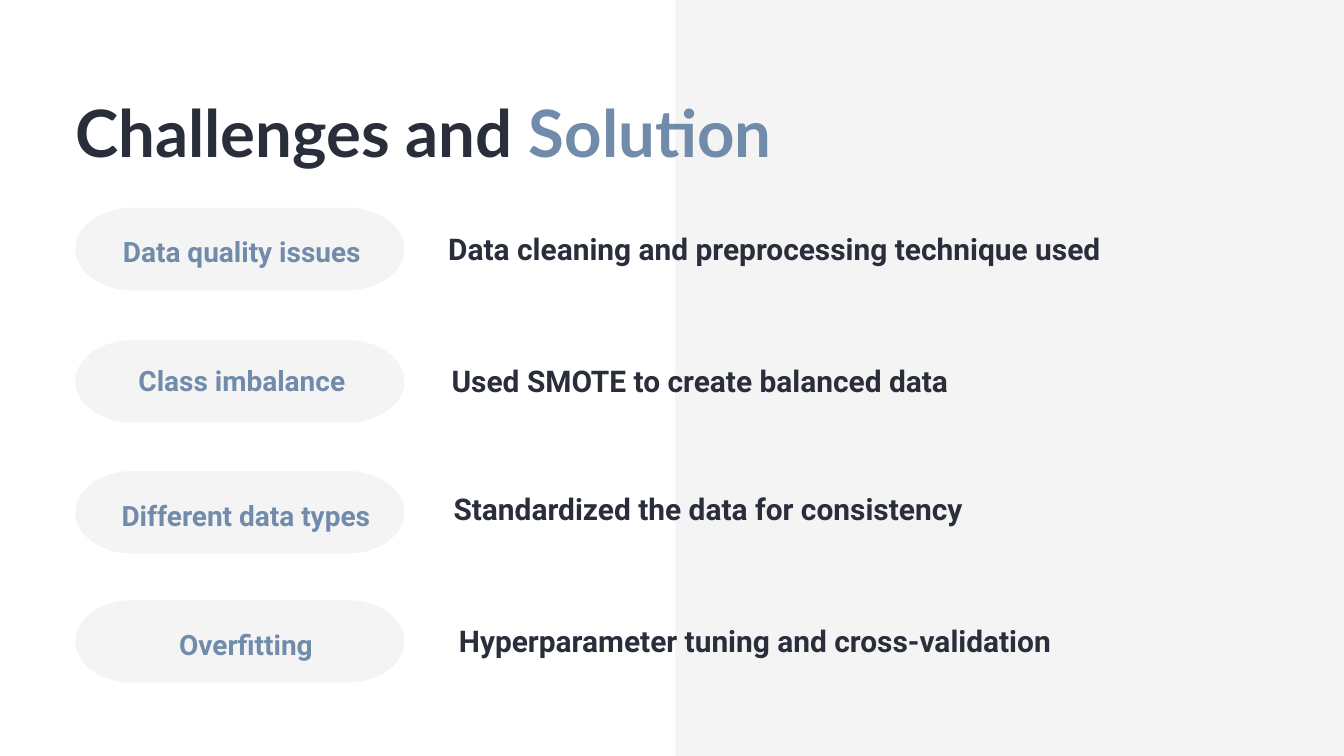
"""Builds the slide that pairs each data challenge with its solution."""
from dataclasses import dataclass

from lxml.etree import SubElement
from pptx import Presentation
from pptx.dml.color import RGBColor
from pptx.enum.shapes import MSO_SHAPE
from pptx.enum.text import MSO_ANCHOR, MSO_AUTO_SIZE, PP_ALIGN
from pptx.oxml.ns import qn
from pptx.util import Inches, Pt


@dataclass(frozen=True)
class Theme:
    ink: RGBColor = RGBColor(0x2A, 0x2E, 0x3A)
    accent: RGBColor = RGBColor(0x71, 0x8B, 0xAB)
    pale: RGBColor = RGBColor(0xF4, 0xF4, 0xF4)
    title_font: str = "Lato"
    text_font: str = "Roboto"
    title_size: Pt = Pt(70)
    label_size: Pt = Pt(30)
    solution_size: Pt = Pt(32)


class SlideBuilder:
    def __init__(self, slide, theme):
        self.slide = slide
        self.theme = theme

    def _paint(self, shape):
        shape.shadow.inherit = False
        shape.fill.solid()
        shape.fill.fore_color.rgb = self.theme.pale
        shape.line.fill.background()

    def _frame(self, shape, inset, anchor):
        frame = shape.text_frame
        frame.word_wrap = True
        frame.auto_size = MSO_AUTO_SIZE.NONE
        frame.vertical_anchor = anchor
        frame.margin_left = frame.margin_right = Inches(inset)
        frame.margin_top = frame.margin_bottom = Inches(inset)
        return frame

    def _style(self, paragraph, name, size, color, spacing, align):
        paragraph.alignment = align
        paragraph.line_spacing = Pt(spacing)
        paragraph.font.name = name
        paragraph.font.size = size
        paragraph.font.bold = True
        if color is not None:
            paragraph.font.color.rgb = color

    def panel(self, left, top, width, height):
        panel = self.slide.shapes.add_shape(
            MSO_SHAPE.RECTANGLE, Inches(left), Inches(top), Inches(width), Inches(height))
        self._paint(panel)
        self.slide.shapes.title.element.addprevious(panel.element)

    def title(self, parts, left, top, width, height):
        title = self.slide.shapes.title
        title.left, title.top = Inches(left), Inches(top)
        title.width, title.height = Inches(width), Inches(height)
        paragraph = self._frame(title, 0, MSO_ANCHOR.TOP).paragraphs[0]
        for words, color in parts:
            run = paragraph.add_run()
            run.text = words
            run.font.color.rgb = color
        self._style(paragraph, self.theme.title_font, self.theme.title_size,
                    None, 91, PP_ALIGN.LEFT)

    def pill(self, left, top, width, height, cap):
        x, y, w, h, r = (Inches(length) for length in (left, top, width, height, cap))
        builder = self.slide.shapes.build_freeform(x, y)
        builder.add_line_segments([(x + w, y), (x + w, y + h), (x, y + h)])
        pill = builder.convert_to_shape()
        outline = next(pill.element.iter(qn("a:path")))
        for segment in list(outline):
            outline.remove(segment)
        half_turn = 180 * 60000
        for command, point, start in (("a:moveTo", (r, 0), None),
                                      ("a:lnTo", (w - r, 0), half_turn * 3 // 2),
                                      ("a:lnTo", (r, h), half_turn // 2)):
            SubElement(SubElement(outline, qn(command)), qn("a:pt"),
                       x=str(point[0]), y=str(point[1]))
            if start is not None:
                SubElement(outline, qn("a:arcTo"), wR=str(r), hR=str(h // 2),
                           stAng=str(start), swAng=str(half_turn))
        SubElement(outline, qn("a:close"))
        self._paint(pill)

    def _text(self, words, left, top, width, height, inset, anchor, size, color,
              spacing, align):
        box = self.slide.shapes.add_textbox(
            Inches(left), Inches(top), Inches(width), Inches(height))
        paragraph = self._frame(box, inset, anchor).paragraphs[0]
        paragraph.text = words
        self._style(paragraph, self.theme.text_font, size, color, spacing, align)

    def label(self, words, left, top, width):
        self._text(words, left, top, width, 1.5, 0.06, MSO_ANCHOR.MIDDLE,
                   self.theme.label_size, self.theme.accent, 42, PP_ALIGN.CENTER)

    def solution(self, words, left, top, width):
        self._text(words, left, top, width, 0.5, 0, MSO_ANCHOR.TOP,
                   self.theme.solution_size, self.theme.ink, 36.4, PP_ALIGN.LEFT)


def main():
    deck = Presentation()
    deck.slide_width, deck.slide_height = Inches(20), Inches(11.25)
    theme = Theme()
    page = SlideBuilder(deck.slides.add_slide(deck.slide_layouts[5]), theme)

    page.panel(10.05, 0, 9.95, 11.25)
    page.title([("Challenges and ", theme.ink), ("Solution", theme.accent)],
               1.12, 1.27, 13.71, 1.25)

    rows = [
        (3.09, "Data quality issues", (1.6, 2.95, 4),
         "Data cleaning and preprocessing technique used", (6.67, 3.46, 10.67)),
        (5.06, "Class imbalance", (1.86, 4.87, 3.48),
         "Used SMOTE to create balanced data", (6.72, 5.42, 9.03)),
        (7.01, "Different data types", (1.6, 6.87, 4.12),
         "Standardized the data for consistency", (6.75, 7.33, 8)),
        (8.93, "Overfitting", (1.6, 8.79, 4.12),
         "Hyperparameter tuning and cross-validation", (6.83, 9.29, 9.92)),
    ]
    for pill_top, challenge, label_place, remedy, remedy_place in rows:
        page.pill(1.12, pill_top, 4.9, 1.23, cap=0.86)
        page.label(challenge, *label_place)
        page.solution(remedy, *remedy_place)

    deck.save("out.pptx")


if __name__ == "__main__":
    main()
